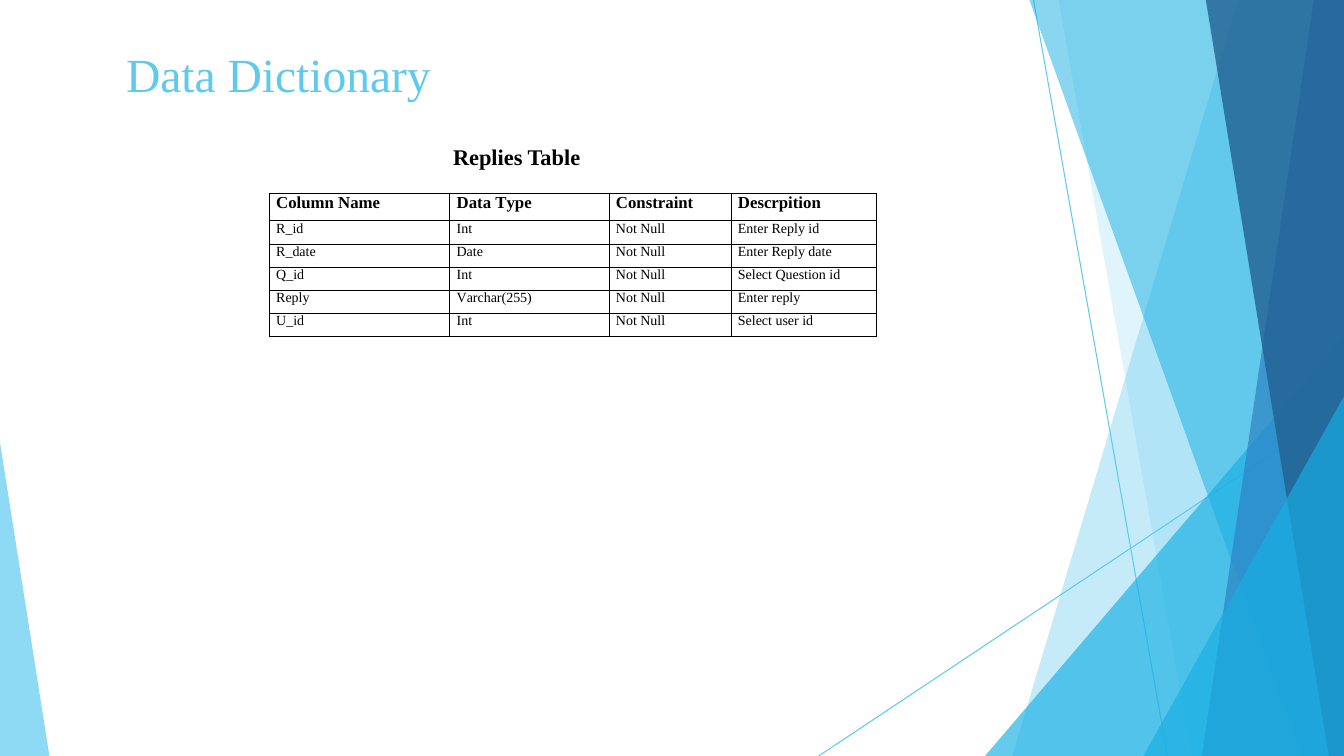
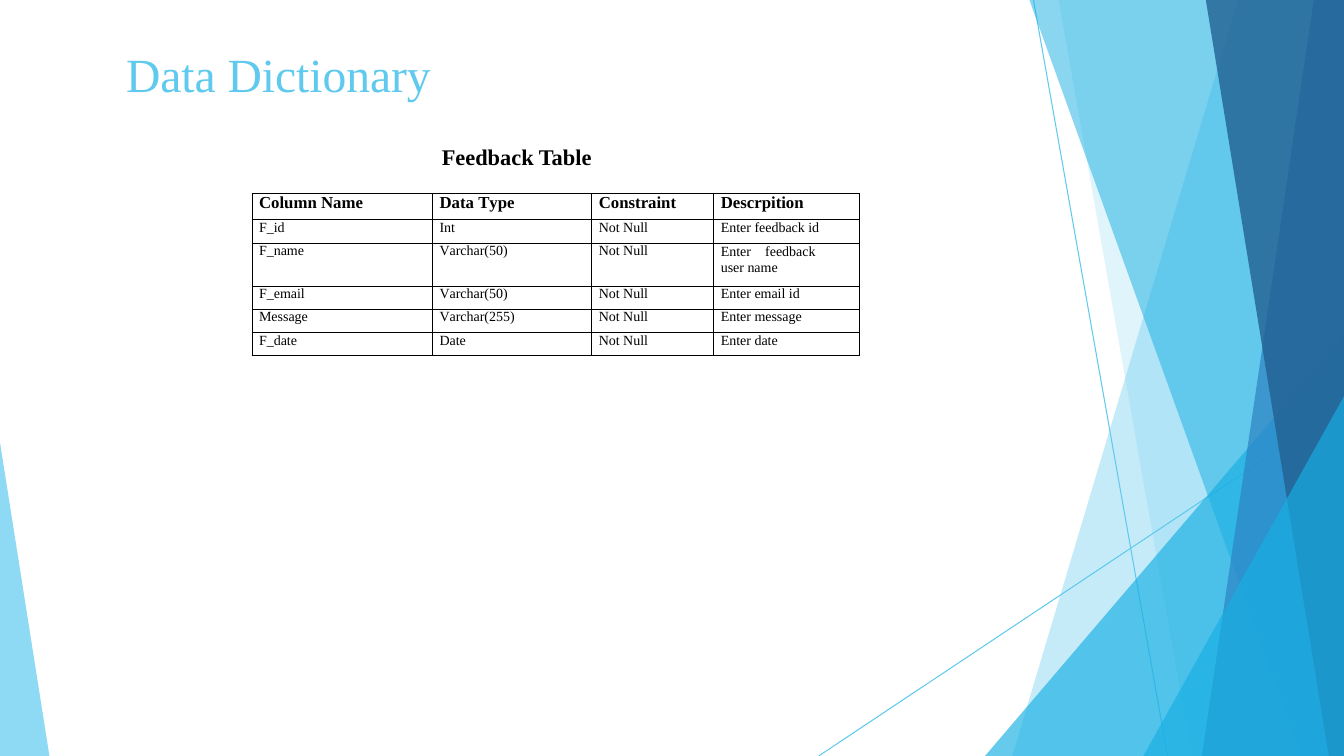
from dataclasses import dataclass
from itertools import groupby

from lxml.etree import SubElement
from pptx import Presentation
from pptx.dml.color import RGBColor
from pptx.enum.shapes import MSO_CONNECTOR
from pptx.enum.text import MSO_ANCHOR, PP_ALIGN
from pptx.oxml.ns import qn
from pptx.util import Pt

PX = 9144  # EMU in one px, 100 px to the inch
WIDTH, HEIGHT = 1333, 750


@dataclass(frozen=True)
class Theme:
    font: str = "Times New Roman"
    ink: str = "000000"
    sky: str = "5FCAEE"
    cyan: str = "17AFE3"
    blue: str = "2D83C3"
    navy: str = "226192"
    title_size: float = 34
    heading_size: float = 16
    header_size: float = 12
    cell_size: float = 10
    wrapped_leading: float = 11.5
    rule_width: float = 0.75
    border_width: float = 0.58


THEME = Theme()

# Letters drawn closer to the next one, in hundredths of a point
KERNING = {"V": -110, "T": -80}

# Decoration shared by all slides: thin rules, then translucent facets
RULES = [((1025, 0), (1158, HEIGHT)), ((WIDTH, 403), (812, HEIGHT))]
RIGHT_TOP, RIGHT_BOTTOM = (WIDTH, 0), (WIDTH, HEIGHT)
FACETS = [
    (THEME.sky, 36, [RIGHT_TOP, (1228, 0), (1004, HEIGHT), RIGHT_BOTTOM]),
    (THEME.sky, 20, [RIGHT_TOP, (1050, 0), (1182, HEIGHT), RIGHT_BOTTOM]),
    (THEME.cyan, 66, [(WIDTH, 333), (977, HEIGHT), RIGHT_BOTTOM]),
    (THEME.cyan, 50, [RIGHT_TOP, (1021, 0), (1291, HEIGHT), RIGHT_BOTTOM]),
    (THEME.blue, 70, [RIGHT_TOP, (1303, 0), (1192, HEIGHT), RIGHT_BOTTOM]),
    (THEME.navy, 80, [RIGHT_TOP, (1196, 0), (1318, HEIGHT), RIGHT_BOTTOM]),
    (THEME.cyan, 66, [(WIDTH, 393), (1134, HEIGHT), RIGHT_BOTTOM]),
    (THEME.sky, 70, [(0, 439), (0, HEIGHT), (49, HEIGHT)]),
]

TITLE_BOX = (125, 42, 357, 59)
HEADING_BOX = (396, 142, 233, 27)
COLUMN_WIDTHS = (179, 158, 121, 144)
CELL_INDENT = 7
WRAP_TAB = 44
WRAP_MARGIN = 40
HEADER = ("Column Name", "Data Type", "Constraint", "Descrpition")

# Each entry: heading, table corner, row heights, (column, type, description)
DICTIONARIES = [
    ("Replies Table", (267, 192), (27, 23, 23, 23, 23, 23), [
        ("R_id", "Int", "Enter Reply id"),
        ("R_date", "Date", "Enter Reply date"),
        ("Q_id", "Int", "Select Question id"),
        ("Reply", "Varchar(255)", "Enter reply"),
        ("U_id", "Int", "Select user id"),
    ]),
    ("Feedback Table", (250, 192), (26, 23, 43, 23, 23, 23), [
        ("F_id", "Int", "Enter feedback id"),
        ("F_name", "Varchar(50)", "Enter\tfeedback user name"),
        ("F_email", "Varchar(50)", "Enter email id"),
        ("Message", "Varchar(255)", "Enter message"),
        ("F_date", "Date", "Enter date"),
    ]),
]


def emu(*lengths):
    return [length * PX for length in lengths]


def apply(target, values):
    for attribute, value in values.items():
        setattr(target, attribute, value)


def write(frame, text, size, color=THEME.ink, bold=False, align=PP_ALIGN.LEFT,
          kerning=None):
    """Write one paragraph, with a run for each change of letter spacing."""
    paragraph = frame.paragraphs[0]
    paragraph.alignment = align
    for spacing, letters in groupby(text, lambda c: (kerning or {}).get(c, 0)):
        run = paragraph.add_run()
        run.text = "".join(letters)
        apply(run.font, {"name": THEME.font, "size": Pt(size), "bold": bold})
        run.font.color.rgb = RGBColor.from_string(color)
        if spacing:
            run.font._element.set("spc", str(spacing))
    return paragraph


def add_rule(shapes, start, end):
    rule = shapes.add_connector(MSO_CONNECTOR.STRAIGHT, *emu(*start, *end))
    rule.line.color.rgb = RGBColor.from_string(THEME.sky)
    rule.line.width = Pt(THEME.rule_width)
    SubElement(rule.element.spPr, qn("a:effectLst"))
    return rule


def add_facet(shapes, color, opacity, corners):
    outline = shapes.build_freeform(*corners[0], scale=PX)
    outline.add_line_segments(corners[1:], close=True)
    facet = outline.convert_to_shape()
    facet.shadow.inherit = False
    facet.line.fill.background()
    facet.fill.solid()
    facet.fill.fore_color.rgb = RGBColor.from_string(color)
    tint = next(facet.element.spPr.iter(qn("a:srgbClr")))
    SubElement(tint, qn("a:alpha"), val=str(opacity * 1000))
    return facet


def decorate_layout(layout, slide):
    """Build the decoration on a slide, then move it behind the layout."""
    parts = [add_rule(slide.shapes, *ends) for ends in RULES]
    parts += [add_facet(slide.shapes, *facet) for facet in FACETS]
    tree = layout.shapes.element
    for order, part in enumerate(parts):
        next(part.element.iter(qn("p:cNvPr"))).set("id", str(100 + order))
        tree.insert(2 + order, part.element)


def place_text(shape, box, text, **style):
    apply(shape, dict(zip(("left", "top", "width", "height"), emu(*box))))
    apply(shape.text_frame, {
        "margin_left": 0, "margin_right": 0, "margin_top": 0,
        "margin_bottom": 0, "word_wrap": True,
        "vertical_anchor": MSO_ANCHOR.BOTTOM,
    })
    write(shape.text_frame, text, **style)


def add_border(cell):
    properties = cell._tc.get_or_add_tcPr()
    for side in ("lnL", "lnR", "lnT", "lnB"):
        line = SubElement(properties, qn(f"a:{side}"),
                          w=str(int(Pt(THEME.border_width))))
        fill = SubElement(line, qn("a:solidFill"))
        SubElement(fill, qn("a:srgbClr"), val=THEME.ink)


def fill_cell(cell, text, is_header):
    wraps = "\t" in text
    apply(cell, {
        "margin_left": CELL_INDENT * PX, "margin_top": 0, "margin_bottom": 0,
        "margin_right": WRAP_MARGIN * PX if wraps else 0,
        "vertical_anchor": MSO_ANCHOR.TOP,
    })
    add_border(cell)
    cell.fill.background()
    size = THEME.header_size if is_header else THEME.cell_size
    paragraph = write(cell.text_frame, text, size, bold=is_header,
                      kerning=KERNING)
    if wraps:
        paragraph.line_spacing = Pt(THEME.wrapped_leading)
        stops = SubElement(paragraph._p.get_or_add_pPr(), qn("a:tabLst"))
        SubElement(stops, qn("a:tab"), pos=str(WRAP_TAB * PX), algn="l")


def add_dictionary(slide, corner, heights, fields):
    rows = [HEADER] + [(name, kind, "Not Null", description)
                       for name, kind, description in fields]
    box = emu(*corner, sum(COLUMN_WIDTHS), sum(heights))
    table = slide.shapes.add_table(len(rows), len(HEADER), *box).table
    apply(table, {"first_row": False, "horz_banding": False})
    for column, width in zip(table.columns, COLUMN_WIDTHS):
        column.width = width * PX
    for index, (row, height, texts) in enumerate(
            zip(table.rows, heights, rows)):
        row.height = height * PX
        for cell, text in zip(row.cells, texts):
            fill_cell(cell, text, is_header=index == 0)


def fill_slide(slide, heading, corner, heights, fields):
    # Title and table heading
    place_text(slide.shapes.title, TITLE_BOX, "Data Dictionary",
               size=THEME.title_size, color=THEME.sky)
    place_text(slide.shapes.add_textbox(0, 0, 0, 0), HEADING_BOX, heading,
               size=THEME.heading_size, bold=True, align=PP_ALIGN.CENTER)
    # Column definitions
    add_dictionary(slide, corner, heights, fields)


def main():
    deck = Presentation()
    apply(deck, {"slide_width": WIDTH * PX, "slide_height": HEIGHT * PX})
    layout = deck.slide_layouts.get_by_name("Title Only")
    slides = [deck.slides.add_slide(layout) for _ in DICTIONARIES]
    decorate_layout(layout, slides[0])
    for slide, dictionary in zip(slides, DICTIONARIES):
        fill_slide(slide, *dictionary)
    deck.save("out.pptx")


if __name__ == "__main__":
    main()
